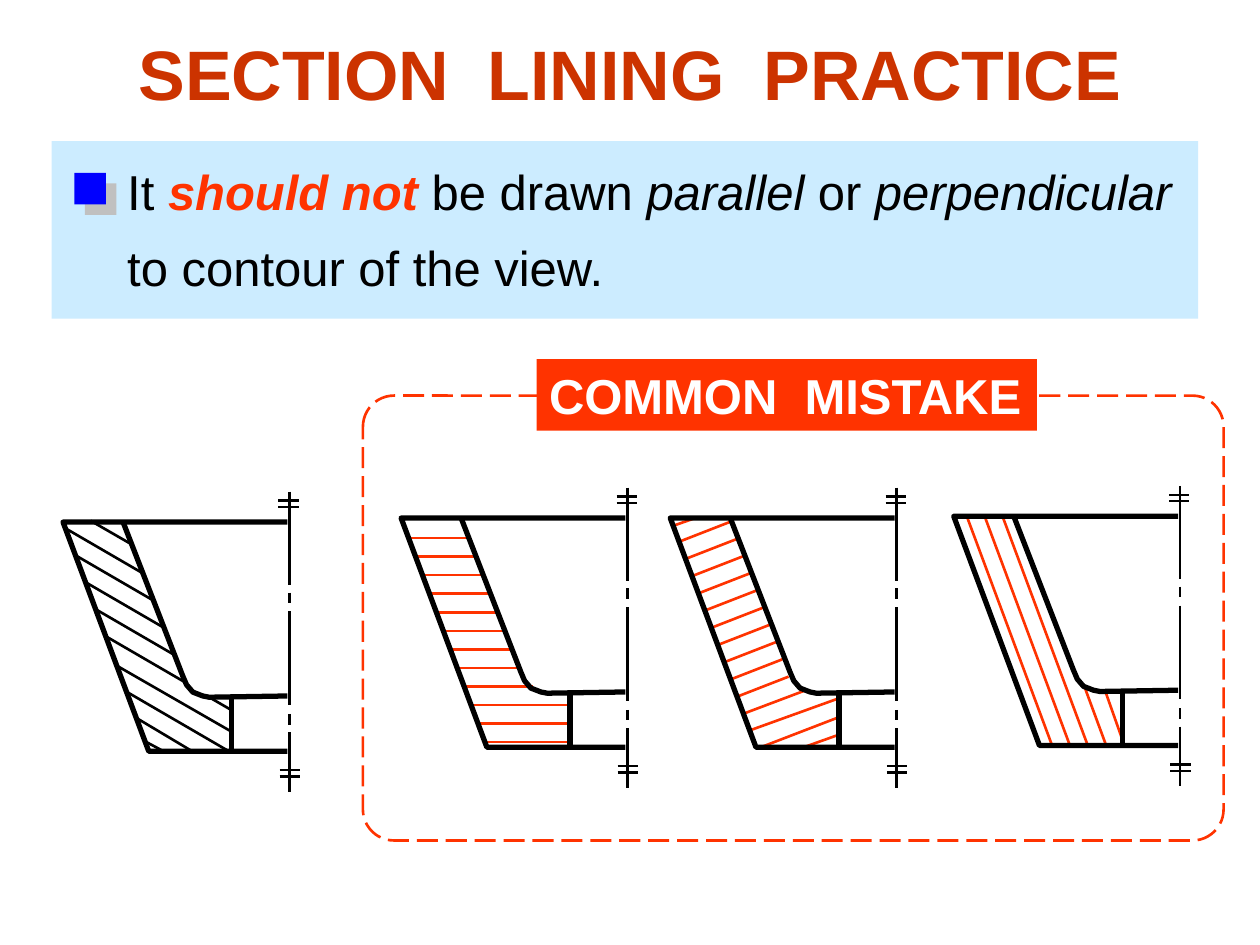
from lxml import etree
from pptx import Presentation
from pptx import util as u
from pptx.dml import color
from pptx.enum import dml, shapes, text
from pptx.oxml import ns

Pt = u.Pt
COLORS = {"title": "CC3300", "panel": "CCECFF", "bullet": "0000FF", "shadow": "C0C0C0",
          "red": "FF3300", "black": "000000", "white": "FFFFFF"}
RGB = {name: color.RGBColor.from_string(value) for name, value in COLORS.items()}

deck = Presentation()
deck.slide_width, deck.slide_height = Pt(720), Pt(540)
page = deck.slides.add_slide(deck.slide_layouts[1])


def add_span(para, words, size=28, ink="black", bold=False, italic=False):
    span = para.add_run()
    span.text = words
    span.font.name = "Arial"
    span.font.size = Pt(size)
    span.font.color.rgb = RGB[ink]
    span.font.bold = bold
    span.font.italic = italic


def add_line(origin, ends, ink="black", width=1.5):
    x, y = origin
    x1, y1, x2, y2 = ends
    line = page.shapes.add_connector(shapes.MSO_CONNECTOR.STRAIGHT,
                                     Pt(x + x1), Pt(y + y1), Pt(x + x2), Pt(y + y2))
    line.line.color.rgb = RGB[ink]
    line.line.width = Pt(width)
    etree.SubElement(line._element.spPr, ns.qn("a:effectLst"))


panel = page.shapes.add_shape(shapes.MSO_SHAPE.RECTANGLE, Pt(29.5), Pt(80.6), Pt(655.2), Pt(101.5))
panel.shadow.inherit = False
panel.fill.solid()
panel.fill.fore_color.rgb = RGB["panel"]
panel.line.fill.background()
page.shapes._spTree.insert(2, panel._element)

title = page.shapes.title
title.left, title.top, title.width, title.height = Pt(36), Pt(0.7), Pt(648), Pt(82)
title.text_frame.auto_size = text.MSO_AUTO_SIZE.NONE
title.text_frame.vertical_anchor = text.MSO_ANCHOR.MIDDLE
add_span(title.text_frame.paragraphs[0], "SECTION  LINING  PRACTICE", size=40, ink="title", bold=True)

bullet = page.shapes.add_shape(shapes.MSO_SHAPE.RECTANGLE, Pt(42.5), Pt(98.8), Pt(18), Pt(18))
bullet.shadow.inherit = False
bullet.fill.solid()
bullet.fill.fore_color.rgb = RGB["bullet"]
bullet.line.fill.background()
effects = bullet._element.spPr.find(ns.qn("a:effectLst"))
shadow = etree.SubElement(effects, ns.qn("a:outerShdw"), dist=str(Pt(8.5)), dir="2700000",
                          algn="ctr", rotWithShape="0")
etree.SubElement(shadow, ns.qn("a:srgbClr"), val=COLORS["shadow"])

body = page.placeholders[1]
body.left, body.top, body.width, body.height = Pt(65.5), Pt(78.5), Pt(613.5), Pt(95)
body.text_frame.auto_size = text.MSO_AUTO_SIZE.NONE
para = body.text_frame.paragraphs[0]
props = para._p.get_or_add_pPr()
props.set("marL", "0")
props.set("indent", "0")
etree.SubElement(props, ns.qn("a:buNone"))
para.line_spacing = 1.3
para.space_before = Pt(0)
add_span(para, "It ")
add_span(para, "should not", ink="red", bold=True, italic=True)
add_span(para, " be drawn ")
add_span(para, "parallel ", italic=True)
add_span(para, "or ")
add_span(para, "perpendicular", italic=True)
add_span(para, " to contour of the view.")

frame = page.shapes.add_shape(shapes.MSO_SHAPE.ROUNDED_RECTANGLE, Pt(207.4), Pt(226.1), Pt(491.8), Pt(254.2))
frame.adjustments[0] = 0.07
frame.shadow.inherit = False
frame.fill.background()
frame.line.color.rgb = RGB["red"]
frame.line.width = Pt(1.5)
frame.line.dash_style = dml.MSO_LINE.LONG_DASH

label = page.shapes.add_shape(shapes.MSO_SHAPE.RECTANGLE, Pt(306.7), Pt(205.2), Pt(285.8), Pt(41))
label.shadow.inherit = False
label.fill.solid()
label.fill.fore_color.rgb = RGB["red"]
label.line.fill.background()
label.text_frame.word_wrap = False
label.text_frame.vertical_anchor = text.MSO_ANCHOR.TOP
para = label.text_frame.paragraphs[0]
para.alignment = text.PP_ALIGN.LEFT
add_span(para, "COMMON  MISTAKE", ink="white", bold=True)

slanted = [(1.4 + 5.9 * i, 3.6 + 15.5 * i, 46 + 5.9 * i, 29.5 + 15.5 * i) for i in range(5)]
slanted += [(15.8, -0.7, 39.6, 13), (29.5, 81.4, 95.8, 119.5), (83.5, 100.1, 97.2, 108),
            (36.7, 97.2, 93.6, 130.3), (42.5, 112.3, 72.7, 130.3), (46.8, 125.3, 56.2, 130.3)]

right_ends = [39 + 4.1 * i for i in range(8)] + [75.6, 96, 96, 96]
level = [(4.3 + 3.95 * i, 11.5 + 10.6 * i, right, 11.5 + 10.6 * i)
         for i, right in enumerate(right_ends)]

perpendicular = [(5 + 3.65 * i, 13.6 + 9.85 * i, 34.8 + 3.65 * i, 2 + 9.85 * i) for i in range(10)]
perpendicular += [(2.2, 4.3, 14.4, 0), (42.5, 111.6, 77, 98.6), (44.6, 121.7, 96.5, 103),
                  (51.8, 131, 96.5, 113.8), (76.3, 131, 96.5, 123.8)]

parallel = [(7.2 + 10.2 * i, -0.7, 56.2 + 10.2 * i, 131) for i in range(3)]
parallel += [(74.9, 97.9, 87.1, 131), (86.4, 99.4, 95.8, 126)]

views = [((36, 298.3), "black", slanted), ((229.2, 296), "red", level),
         ((383, 296), "red", perpendicular), ((545, 295), "red", parallel)]
contours = [
    [(128.2, 0), (0, 0), (49, 131), (128.2, 131)],
    [(34.6, 0.7), (68.4, 87.8), (70.6, 93), (74.2, 97.2), (79.9, 99.4), (83.5, 100.1), (128.2, 99.4)],
]
axis_dashes = [(-17.3, 36), (40.3, 46.3), (51.1, 104.4), (109.6, 115.7), (120.2, 154.1)]
symmetry_marks = [(123.1, -12.2), (123.1, -8.6), (123.8, 141.8), (123.8, 145.6)]

for origin, ink, hatching in views:
    for ends in hatching:
        add_line(origin, ends, ink)
    for contour in contours:
        points = [(Pt(origin[0] + x), Pt(origin[1] + y)) for x, y in contour]
        builder = page.shapes.build_freeform(*points[0])
        builder.add_line_segments(points[1:], close=False)
        outline = builder.convert_to_shape()
        outline.shadow.inherit = False
        outline.fill.background()
        outline.line.color.rgb = RGB["black"]
        outline.line.width = Pt(3)
    add_line(origin, (96.5, 100.1, 96.5, 130.5), width=3)
    for top, bottom in axis_dashes:
        add_line(origin, (129.4, top, 129.4, bottom))
    for left, height in symmetry_marks:
        add_line(origin, (left, height, left + 11.5, height))

deck.save("out.pptx")
